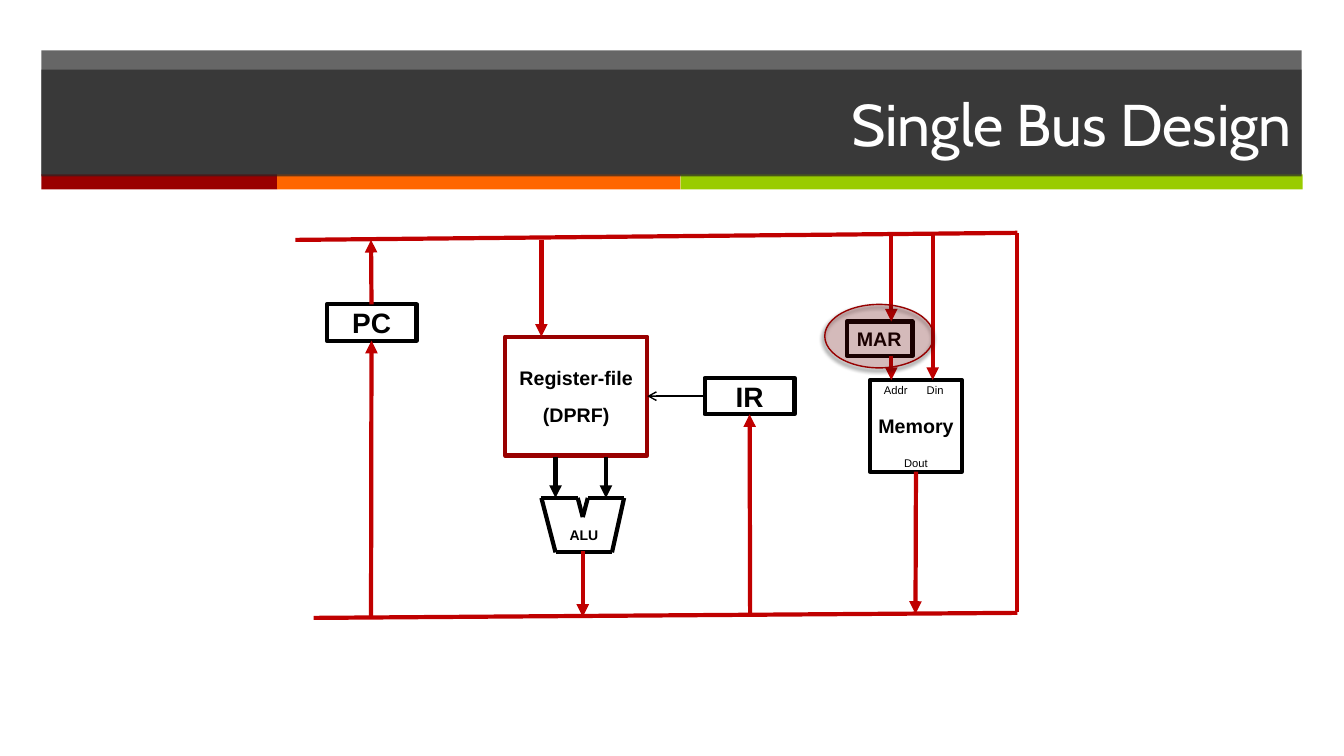
import pptx
import pptx.dml.color
import pptx.enum.dml
import pptx.enum.shapes
import pptx.enum.text
import pptx.oxml
import pptx.oxml.ns
import pptx.util
from dataclasses import dataclass
from itertools import pairwise

PX = 9144  # EMU per px, 100 px to the inch
RECT = pptx.enum.shapes.MSO_SHAPE.RECTANGLE
OVAL = pptx.enum.shapes.MSO_SHAPE.OVAL
ALIGN = pptx.enum.text.PP_ALIGN
ANCHOR = pptx.enum.text.MSO_ANCHOR
TOP, LEFT, BOTTOM, RIGHT = range(4)


@dataclass(frozen=True)
class Theme:
    black: str = "000000"
    white: str = "FFFFFF"
    band: str = "262626"
    dark_red: str = "990000"
    oval_edge: str = "960000"
    orange: str = "FF6600"
    green: str = "99CC00"
    bus: str = "C00000"
    title_font: str = "Cabin"
    font: str = "Arial"
    title: int = 42
    register: int = 20
    block: int = 14
    alu: int = 10
    port: int = 8


T = Theme()
RGB = pptx.dml.color.RGBColor.from_string

prs = pptx.Presentation()
prs.slide_width, prs.slide_height = 1333 * PX, 750 * PX
slide = prs.slides.add_slide(prs.slide_layouts[6])


def box(text, x, y, w, h, kind=RECT, fill=None, alpha=100, edge=None, weight=3,
        size=T.block, font=T.font, color=T.black, bold=True, align=ALIGN.CENTER,
        anchor=ANCHOR.MIDDLE, inset=(5, 3), after=10, wrap=True):
    """Add a shape, or a text box when kind is None; each text line is a paragraph."""
    place = [v * PX for v in (x, y, w, h)]
    if kind is None:
        sp = slide.shapes.add_textbox(*place)
    else:
        sp = slide.shapes.add_shape(kind, *place)
        sp.shadow.inherit = False
        if fill:
            sp.fill.solid()
            sp.fill.fore_color.rgb = RGB(fill)
            if alpha < 100:
                clr = sp._element.spPr.find(".//" + pptx.oxml.ns.qn("a:srgbClr"))
                clr.append(pptx.oxml.parse_xml(
                    f'<a:alpha {pptx.oxml.ns.nsdecls("a")} val="{alpha * 1000}"/>'))
        else:
            sp.fill.background()
        if edge:
            sp.line.color.rgb = RGB(edge)
            sp.line.width = pptx.util.Pt(weight)
        else:
            sp.line.fill.background()
    if not text:
        return sp
    tf = sp.text_frame
    tf.word_wrap = wrap
    tf.vertical_anchor = anchor
    tf.margin_left = tf.margin_right = inset[0] * PX
    tf.margin_top = tf.margin_bottom = inset[1] * PX
    for i, words in enumerate(text.split("\n")):
        p = tf.paragraphs[0] if i == 0 else tf.add_paragraph()
        p.alignment = align
        p.space_after = pptx.util.Pt(after)
        r = p.add_run()
        r.text = words
        r.font.name, r.font.size, r.font.bold = font, pptx.util.Pt(size), bold
        r.font.color.rgb = RGB(color)
    return sp


def line(start, end, color=T.bus, weight=3, head="triangle", begin=None, finish=None):
    """Add a line; begin and finish are (shape, side) pairs to join."""
    cx = slide.shapes.add_connector(pptx.enum.shapes.MSO_CONNECTOR.STRAIGHT,
                                    *[v * PX for v in (*start, *end)])
    if begin:
        cx.begin_connect(*begin)
    if finish:
        cx.end_connect(*finish)
    cx.line.color.rgb = RGB(color)
    cx.line.width = pptx.util.Pt(weight)
    ns = pptx.oxml.ns.nsdecls("a")
    if head:
        cx.line._get_or_add_ln().append(
            pptx.oxml.parse_xml(f'<a:tailEnd {ns} type="{head}"/>'))
    cx._element.spPr.append(pptx.oxml.parse_xml(f"<a:effectLst {ns}/>"))


# Title band
box("", 41, 50, 1250, 124, fill=T.band, alpha=70)
x = 41
for width, color in ((234, T.dark_red), (400, T.orange), (617, T.green)):
    box("", x, 173, width, 15, fill=color)
    x += width
box("Single Bus Design", 41, 69, 1250, 106, fill=T.band, alpha=70, size=T.title,
    font=T.title_font, color=T.white, bold=False, align=ALIGN.RIGHT, inset=(10, 5), after=0)

# Datapath blocks
pc = box("PC", 324, 302, 89, 36, fill=T.white, edge=T.black, size=T.register)
memory = box("Memory", 863, 377, 91, 91, fill=T.white, edge=T.black)
registers = box("Register-file\n(DPRF)", 501, 334, 141, 118, fill=T.white, edge=T.dark_red)
ir = box("IR", 699, 375, 89, 36, fill=T.white, edge=T.black, size=T.register)
box("MAR", 840, 319, 65, 34, edge=T.black, align=ALIGN.LEFT, anchor=ANCHOR.TOP,
    inset=(10, 5), after=0, wrap=False)
for port, x, y in (("Addr", 868, 377), ("Din", 907, 377), ("Dout", 888, 450)):
    box(port, x, y, 41, 18, kind=None, size=T.port, bold=False, anchor=ANCHOR.TOP)

# ALU
alu = [(537, 494), (573, 494), (578, 513), (583, 494), (619, 494), (607, 548), (551, 548)]
for start, end in pairwise(alu + alu[:1]):
    line(start, end, T.black, head=None)
box("ALU", 560, 519, 46, 22, kind=None, size=T.alu, align=ALIGN.LEFT, anchor=ANCHOR.TOP)
for x in (551, 601):
    line((x, 453), (x, 494), T.black)

# Bus
for start, end in (((293, 238), (1009, 231)), ((311, 613), (1009, 608)),
                   ((1009, 607), (1009, 231))):
    line(start, end, head=None)

# Transfers to and from the bus
line((368, 302), (368, 238), begin=(pc, TOP))
line((368, 613), (368, 338), finish=(pc, BOTTOM))
line((744, 608), (744, 411), finish=(ir, BOTTOM))
line((908, 468), (908, 609), begin=(memory, BOTTOM))
line((699, 393), (642, 393), T.black, 1, "arrow", (ir, LEFT), (registers, RIGHT))
for x, top, bottom in ((925, 231, 377), (884, 353, 377), (884, 231, 319),
                       (578, 547, 612), (537, 238, 334)):
    line((x, top), (x, bottom))

# Highlight on MAR
oval = box("", 818, 302, 108, 63, kind=OVAL, fill=T.dark_red, alpha=17,
           edge=T.oval_edge, weight=1)
oval._element.spPr.find(pptx.oxml.ns.qn("a:effectLst")).append(pptx.oxml.parse_xml(
    f'<a:outerShdw {pptx.oxml.ns.nsdecls("a")} blurRad="38100" dist="25400" dir="6600000" '
    f'rotWithShape="0"><a:srgbClr val="{T.black}"><a:alpha val="75000"/></a:srgbClr>'
    '</a:outerShdw>'))

prs.save("out.pptx")
